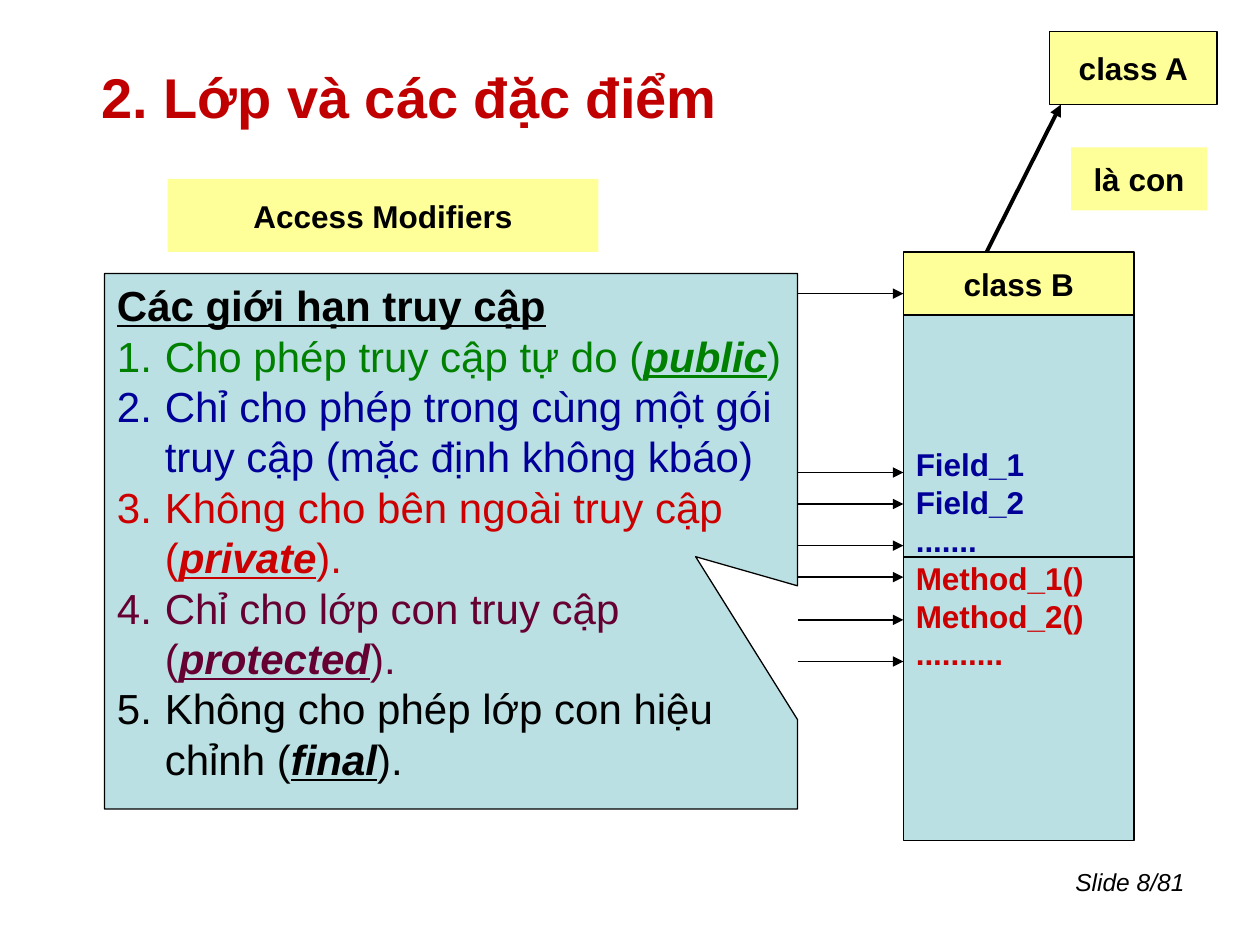
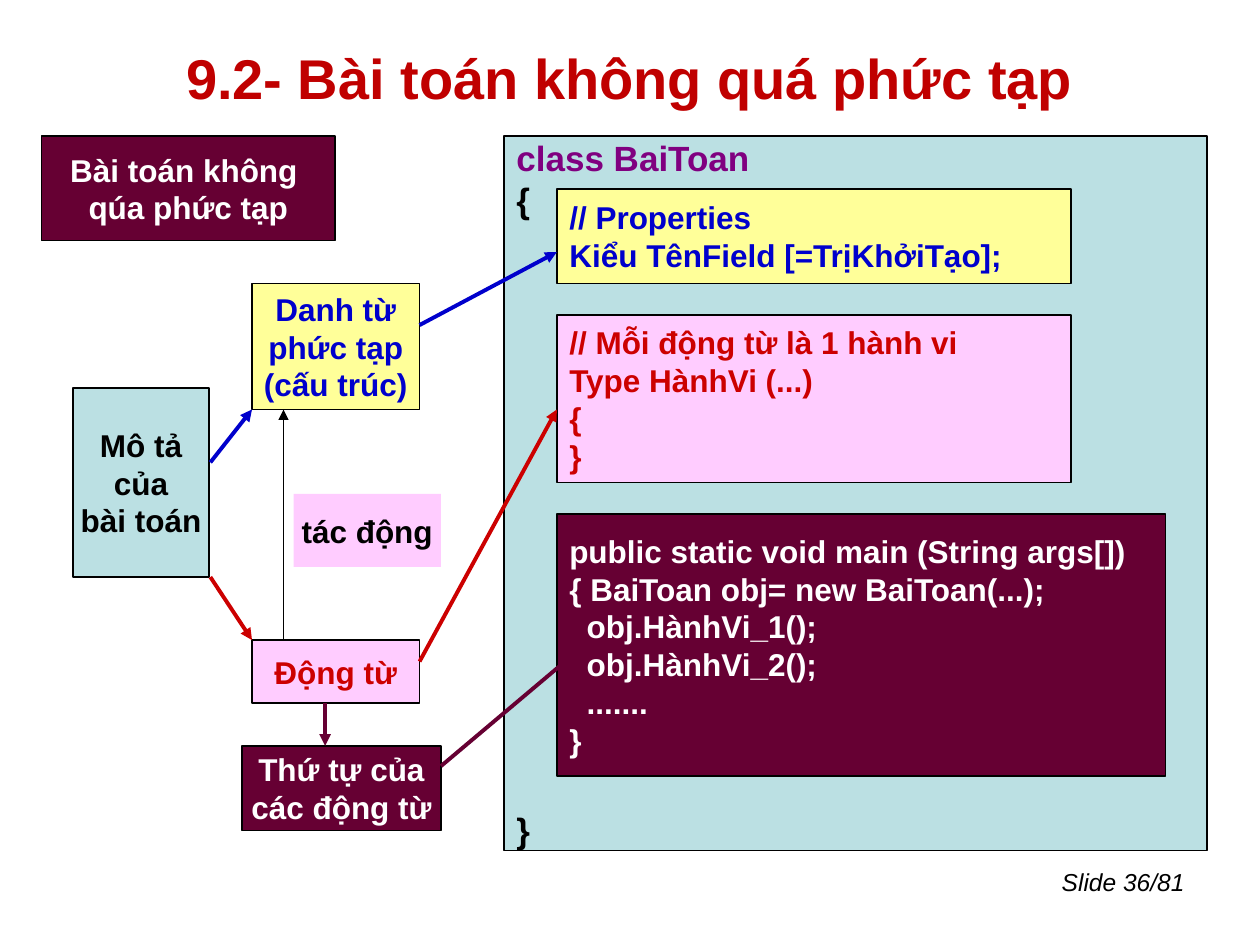
from lxml.etree import SubElement
from pptx import Presentation
from pptx.dml.color import RGBColor as RGB
from pptx.enum.shapes import MSO_CONNECTOR as Line, MSO_SHAPE as Shape
from pptx.enum.text import MSO_ANCHOR as Anchor, PP_ALIGN as Align
from pptx.oxml.ns import qn
from pptx.util import Inches, Pt

FONT = "Arial"
PITCH = 1.2  # line height as a multiple of the font size

BLACK = RGB(0x00, 0x00, 0x00)
WHITE = RGB(0xFF, 0xFF, 0xFF)
CRIMSON = RGB(0xC0, 0x00, 0x00)
RED = RGB(0xCC, 0x00, 0x00)
BLUE = RGB(0x00, 0x00, 0xCC)
NAVY = RGB(0x00, 0x00, 0x99)
GREEN = RGB(0x00, 0x80, 0x00)
PURPLE = RGB(0x80, 0x00, 0x80)
WINE = RGB(0x66, 0x00, 0x33)
AQUA = RGB(0xBB, 0xE0, 0xE3)
YELLOW = RGB(0xFF, 0xFF, 0x99)
PINK = RGB(0xFF, 0xCC, 0xFF)

# Slide 8: class features
FEATURES = {"title": "2. Lớp và các đặc điểm", "at": (0.5, 0.5, 5.5, 0.53),
            "foot": "Slide 8/81"}
MEMBERS = [("Field_1", NAVY), ("Field_2", NAVY), (".......", NAVY),
           ("Method_1()", RED), ("Method_2()", RED), ("..........", RED)]
LABELS = [  # place, text, has an edge
    ((7.17, 2, 1.83, 0.5), "class B", True),
    ((1.33, 1.42, 3.42, 0.58), "Access Modifiers", False),
    ((8.33, 0.25, 1.33, 0.58), "class A", True),
    ((8.5, 1.17, 1.08, 0.5), "là con", False),
]
ACCESS = "Các giới hạn truy cập"
RULES = [  # text before the keyword, keyword, text after, colour
    ("Cho phép truy cập tự do (", "public", ")", GREEN),
    ("Chỉ cho phép trong cùng một gói truy cập (mặc định không kbáo)",
     "", "", NAVY),
    ("Không cho bên ngoài truy cập (", "private", ").", RED),
    ("Chỉ cho lớp con truy cập (", "protected", ").", WINE),
    ("Không cho phép lớp con hiệu chỉnh (", "final", ").", BLACK),
]
ARROWS = [2.33, 3.75, 4, 4.33, 4.58, 4.92, 5.25]

# Slide 36: a simple problem
PROBLEM = {"title": "9.2- Bài toán không quá phức tạp",
           "at": (0.5, 0.3, 9, 0.62), "foot": "Slide 36/81"}
FRAME = [("class BaiToan", PURPLE), "{", "}"]
HOLLOW = 14  # text lines left free between the braces of the frame
NODES = [  # place, fill, text colour, lines, has an edge
    ((0.58, 3.08, 1.08, 1.5), AQUA, BLACK, ["Mô tả", "của", "bài toán"], True),
    ((2, 2.25, 1.33, 1), YELLOW, BLUE,
     ["Danh từ", "phức tạp", "(cấu trúc)"], True),
    ((2, 5.08, 1.33, 0.5), PINK, RED, ["Động từ"], True),
    ((2.33, 3.92, 1.17, 0.58), PINK, BLACK, ["tác động"], False),
    ((0.33, 1.08, 2.33, 0.83), WINE, WHITE,
     ["Bài toán không ", "qúa phức tạp"], True),
    ((1.92, 5.92, 1.58, 0.67), WINE, WHITE,
     ["Thứ tự của", "các động từ"], True),
]
CODE = [  # place, fill, text colour, lines
    ((4.42, 1.5, 4.08, 0.75), YELLOW, BLUE,
     ["// Properties", "Kiểu TênField [=TrịKhởiTạo];"]),
    ((4.42, 2.5, 4.08, 1.33), PINK, RED,
     ["// Mỗi động từ là 1 hành vi", "Type HànhVi (...)", "{", "}"]),
    ((4.42, 4.08, 4.83, 2.08), WINE, WHITE,
     ["public static void main (String args[])",
      "{ BaiToan obj= new BaiToan(...);",
      "  obj.HànhVi_1();", "  obj.HànhVi_2();", "  .......", "}"]),
]
FLOWS = [  # from, to, colour, width
    ((1.67, 3.67), (2, 3.25), BLUE, 2.25),
    ((1.67, 4.58), (2, 5.08), RED, 2.25),
    ((2.25, 5.08), (2.25, 3.25), BLACK, 0.75),
    ((2.58, 5.58), (2.58, 5.92), WINE, 2.25),
    ((3.5, 6.08), (4.58, 5.17), WINE, 2.25),
    ((3.33, 2.58), (4.42, 2), BLUE, 2.25),
    ((3.33, 5.25), (4.42, 3.25), RED, 2.25),
]


def inch(nums):
    return [Inches(n) for n in nums]


def write(para, text, size, ink, **form):
    """Add a run to a paragraph; form holds bold, italic and underline."""
    para.line_spacing = Pt(size * PITCH)
    run = para.add_run()
    run.text = text
    run.font.color.rgb = ink
    form = {"name": FONT, "size": Pt(size), **form}
    for key, value in form.items():
        setattr(run.font, key, value)


def panel(slide, kind, at, fill, edge=True):
    shape = slide.shapes.add_shape(kind, *inch(at))
    shape.shadow.inherit = False
    shape.fill.solid()
    shape.fill.fore_color.rgb = fill
    if edge:
        shape.line.color.rgb = BLACK
        shape.line.width = Pt(0.75)
    else:
        shape.line.fill.background()
    return shape


def paras(frame, count):
    """Return the first paragraph of a frame and enough new ones."""
    return [frame.paragraphs[0]] + [frame.add_paragraph()
                                    for _ in range(count - 1)]


def box(slide, at, fill, ink, lines, edge=True, align=Align.CENTER, size=18):
    """Draw a filled box; a line is a text or a (text, colour) pair."""
    frame = panel(slide, Shape.RECTANGLE, at, fill, edge).text_frame
    frame.word_wrap = False
    frame.vertical_anchor = Anchor.MIDDLE
    for para, line in zip(paras(frame, len(lines)), lines):
        text, tint = (line, ink) if isinstance(line, str) else line
        para.alignment = align
        write(para, text, size, tint, bold=True)
    return frame


def link(slide, start, end, ink=BLACK, width=0.75, arrow=True):
    wire = slide.shapes.add_connector(Line.STRAIGHT, *inch(start + end))
    wire.line.color.rgb = ink
    wire.line.width = Pt(width)
    props = wire.element.spPr
    if arrow:
        SubElement(props.find(qn("a:ln")), qn("a:tailEnd"), type="triangle")
    SubElement(props, qn("a:effectLst"))


def number(para, ink):
    props = para._p.get_or_add_pPr()
    tint = SubElement(props, qn("a:buClr"))
    SubElement(tint, qn("a:srgbClr"), val=str(ink))
    SubElement(props, qn("a:buFont"), typeface="+mj-lt")
    SubElement(props, qn("a:buAutoNum"), type="arabicPeriod")


def start(deck, head):
    """Add a slide with its title and footer."""
    slide = deck.slides.add_slide(deck.slide_layouts[5])
    title = slide.shapes.title
    title.left, title.top, title.width, title.height = inch(head["at"])
    title.text_frame.vertical_anchor = Anchor.MIDDLE
    para = title.text_frame.paragraphs[0]
    para.alignment = Align.CENTER
    write(para, head["title"], 32, CRIMSON, bold=True)

    foot = slide.shapes.add_textbox(*inch((7.92, 6.83, 1.58, 0.52)))
    foot.text_frame.word_wrap = True
    para = foot.text_frame.paragraphs[0]
    para.alignment = Align.RIGHT
    write(para, head["foot"], 14, BLACK, italic=True)
    return slide


def callout(slide):
    shape = panel(slide, Shape.RECTANGULAR_CALLOUT, (0.83, 2.17, 5.5, 4.25),
                  AQUA)
    shape.adjustments[0], shape.adjustments[1] = 0.353, 0.029
    frame = shape.text_frame
    frame.word_wrap = True
    frame.vertical_anchor = Anchor.TOP
    head, *rest = paras(frame, len(RULES) + 1)
    for para in (head, *rest):
        para.alignment = Align.LEFT
        props = para._p.get_or_add_pPr()
        props.set("marL", str(Inches(0.38)))
        props.set("indent", str(-Inches(0.38)))
    write(head, ACCESS, 24, BLACK, bold=True, underline=True)
    for para, (lead, word, tail, ink) in zip(rest, RULES):
        number(para, ink)
        write(para, lead, 24, ink)
        if word:
            write(para, word, 24, ink, bold=True, italic=True, underline=True)
            write(para, tail, 24, ink)


def features(deck):
    slide = start(deck, FEATURES)
    frame = box(slide, (7.17, 2.5, 1.83, 4.17), AQUA, NAVY, MEMBERS,
                align=Align.LEFT)
    frame.margin_bottom = Inches(0.35)
    callout(slide)
    for y in ARROWS:
        link(slide, (6.33, y), (7.17, y))
    for at, text, edge in LABELS:
        box(slide, at, YELLOW, BLACK, [text], edge)
    link(slide, (7.83, 2), (8.42, 0.83), width=2.25)
    link(slide, (7.17, 4.42), (9, 4.42), arrow=False)


def problem(deck):
    slide = start(deck, PROBLEM)
    size = 20
    frame = box(slide, (4, 1.08, 5.58, 5.67), AQUA, BLACK, FRAME,
                align=Align.LEFT, size=size)
    frame.paragraphs[-1].space_before = Pt(HOLLOW * size * PITCH)
    for at, fill, ink, lines in CODE:
        box(slide, at, fill, ink, lines, align=Align.LEFT)
    for node in NODES:
        box(slide, *node)
    for flow in FLOWS:
        link(slide, *flow)


def main():
    deck = Presentation()
    deck.slide_width, deck.slide_height = inch((10, 7.5))
    features(deck)
    problem(deck)
    deck.save("out.pptx")


if __name__ == "__main__":
    main()
